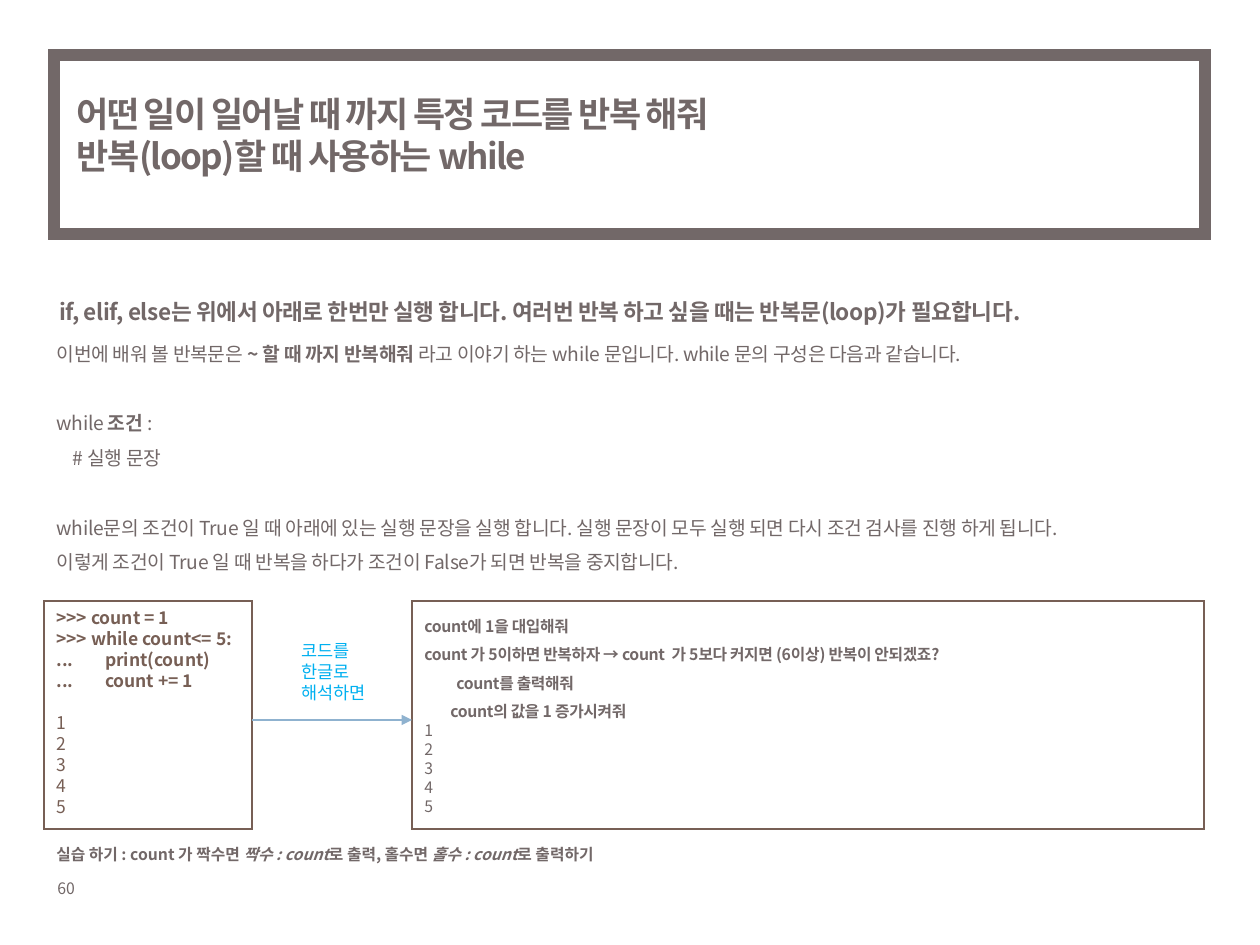
"""Build the slide that explains the while loop."""
import pptx
import pptx.dml.color
import pptx.enum.dml
import pptx.enum.shapes
import pptx.enum.text
import pptx.oxml.ns
import pptx.util
from lxml import etree

FONT = "Noto Sans CJK KR"
GREY, BROWN, BLUE, SKY = "726868", "775F55", "8FB2CF", "00B0F0"
OUTPUT = ["1", "2", "3", "4", "5"]


def px(count):
    return pptx.util.Emu(round(count * 914400 / 126))


def paint(color, code):
    color.rgb = pptx.dml.color.RGBColor.from_string(code)


def add_tag(parent, name, **attrs):
    return etree.SubElement(parent, pptx.oxml.ns.qn(name), **attrs)


def style(run, size, hue, bold, track):
    font = run.font
    font.name, font.size, font.bold = FONT, pptx.util.Pt(size), bold
    paint(font.color, hue)
    props = run._r.get_or_add_rPr()
    add_tag(props, "a:ea", typeface=FONT)
    props.set("kern", "0")
    if track:
        props.set("spc", str(round(track * 100)))


def write(frame, lines, size, hue=GREY, bold=False, track=0, pitch=1, mark="bold"):
    """Add lines to a frame; the parts between bars get the marked style."""
    added = []
    for line in lines:
        first = frame.paragraphs[0]
        para = frame.add_paragraph() if first.runs else first
        para.alignment = pptx.enum.text.PP_ALIGN.LEFT
        para.line_spacing = pitch
        para.space_before = pptx.util.Pt(0)
        for place, part in enumerate(line.split("|")):
            for row, piece in enumerate(part.split("\n")):
                if row:
                    para.add_line_break()
                run = para.add_run()
                run.text = piece
                style(run, size, hue, bold, track)
                if place % 2:
                    setattr(run.font, mark, True)
        added.append(para)
    return added


def set_frame(shape, wrap=True, anchor="TOP"):
    frame = shape.text_frame
    frame.word_wrap = wrap
    frame.auto_size = pptx.enum.text.MSO_AUTO_SIZE.NONE
    frame.vertical_anchor = getattr(pptx.enum.text.MSO_ANCHOR, anchor)
    return frame


def put_holder(holder, box, anchor="TOP"):
    holder.left, holder.top, holder.width, holder.height = map(px, box)
    return set_frame(holder, anchor=anchor)


def add_text(slide, box, wrap=True):
    return set_frame(slide.shapes.add_textbox(*map(px, box)), wrap)


def add_box(slide, box, hue, width):
    kind = pptx.enum.shapes.MSO_SHAPE.RECTANGLE
    shape = slide.shapes.add_shape(kind, *map(px, box))
    shape.shadow.inherit = False
    shape.fill.background()
    paint(shape.line.color, hue)
    shape.line.width = pptx.util.Pt(width)
    add_tag(shape.line._get_or_add_ln(), "a:miter", lim="800000")
    return set_frame(shape)


def add_arrow(slide, start, end, hue):
    kind = pptx.enum.shapes.MSO_CONNECTOR.STRAIGHT
    arrow = slide.shapes.add_connector(kind, *map(px, start + end))
    paint(arrow.line.color, hue)
    arrow.line.width = pptx.util.Pt(0.75)
    add_tag(arrow.line._get_or_add_ln(), "a:tailEnd", type="triangle")
    add_tag(arrow._element.spPr, "a:effectLst")


def main():
    deck = pptx.Presentation()
    deck.slide_width, deck.slide_height = px(1260), px(945)
    slide = deck.slides.add_slide(deck.slide_layouts[0])
    title, body = slide.placeholders

    write(add_text(slide, (45, 873, 66, 32), False), ["60"], 9)
    write(put_holder(title, (64, 55, 903, 159), "MIDDLE"),
          ["어떤 일이 일어날 때 까지 특정 코드를 반복 해줘 \n반복(loop)할 때 사용하는 while"],
          20, bold=True, track=-1)
    add_box(slide, (54, 55, 1151, 179), GREY, 7)

    paras = write(put_holder(body, (44, 324, 1147, 238)), [
        "이번에 배워 볼 반복문은 |~ 할 때 까지 반복해줘| 라고 이야기 하는 while 문입니다. while 문의 구성은 다음과 같습니다.",
        "while |조건 |:",
        "    # 실행 문장",
        "while문의 조건이 True 일 때 아래에 있는 실행 문장을 실행 합니다. 실행 문장이 모두 실행 되면 다시 조건 검사를 진행 하게 됩니다.",
        "이렇게 조건이 True 일 때 반복을 하다가 조건이 False가 되면 반복을 중지합니다.",
    ], 11, track=-0.2, pitch=1.5)
    for para in (paras[1], paras[3]):
        para.space_before = pptx.util.Pt(20)
    write(add_text(slide, (47, 284, 1159, 49)),
          ["if, elif, else는 위에서 아래로 한번만 실행 합니다. 여러번 반복 하고 싶을 때는 반복문(loop)가 필요합니다."],
          12.9, bold=True, track=-0.2, pitch=1.3)

    code = add_box(slide, (44, 601, 208, 228), BROWN, 0.75)
    write(code, [
        ">>> count = 1",
        ">>> while count<= 5:",
        "...        print(count)",
        "...        count += 1",
    ], 10, BROWN, bold=True)
    result = write(code, OUTPUT, 10, BROWN)
    result[0].space_before = pptx.util.Pt(12)

    korean = add_box(slide, (412, 601, 792, 228), BROWN, 0.75)
    steps = write(korean, [
        "count에 1을 대입해줘",
        "count 가 5이하면 반복하자 → count  가 5보다 커지면 (6이상) 반복이 안되겠죠?",
        "count를 출력해줘",
        "count의 값을 1 증가시켜줘",
    ], 9, bold=True, track=-0.2, pitch=1.5)
    for para, inset in zip(steps[2:], (32, 26)):
        para._p.get_or_add_pPr().set("marL", str(px(inset)))
    write(korean, OUTPUT, 9, track=-0.2)

    add_arrow(slide, (252, 720), (412, 720), BLUE)
    write(add_text(slide, (289, 634, 92, 77), False),
          ["코드를", "한글로", "해석하면"], 10, SKY)
    write(add_text(slide, (44, 839, 1147, 30)),
          ["실습 하기 : count 가 짝수면 |짝수 : count|로 출력, 홀수면 |홀수 : count|로 출력하기"],
          9, bold=True, mark="italic")
    deck.save("out.pptx")


if __name__ == "__main__":
    main()
